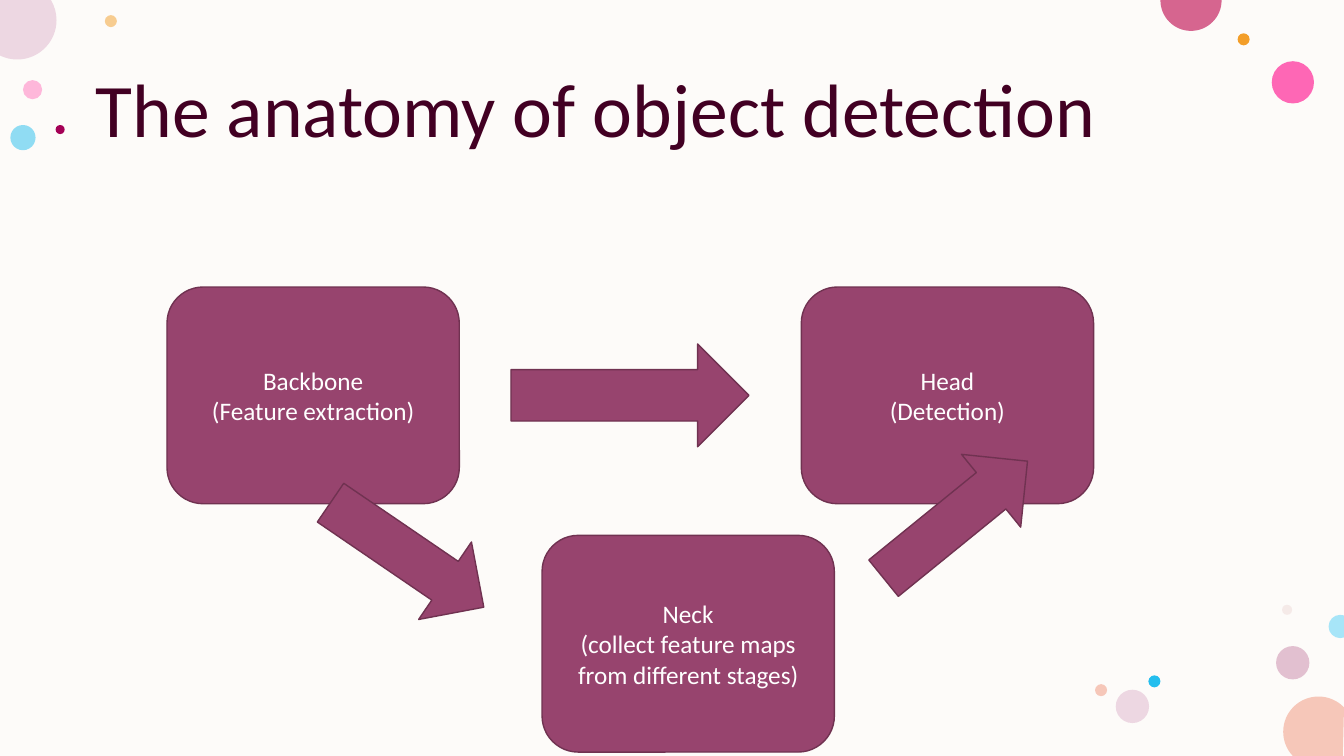
"""Build the slide on the anatomy of object detection."""
import math
from dataclasses import dataclass
from itertools import pairwise

from lxml import etree
from pptx import Presentation
from pptx import util as u
from pptx.dml import color, fill
from pptx.enum import shapes, text
from pptx.oxml import ns
from pptx.shapes import autoshape
from pptx.slide import Slide

WIDTH, HEIGHT = 960, 540
STAGE_WIDTH, STAGE_HEIGHT = 208.8, 154.8


@dataclass(frozen=True)
class Theme:
    font: str = "Calibri"
    title_size: int = 54
    stage_size: int = 18
    background: str = "FDFBF9"
    title: str = "420023"
    block: str = "97446E"
    outline: str = "703251"
    label: str = "FFFFFF"
    sky: str = "24BEEE"
    orange: str = "F39E29"
    peach: str = "F6C7B9"
    lilac: str = "EDD7E2"


@dataclass(frozen=True)
class Dot:
    left: float
    top: float
    diameter: float
    colour: str
    opacity: int = 100

    def rim(self, degrees: float, pull: float = 0) -> tuple[float, float]:
        """Give a rim point, moved along its tangent by pull radii."""
        radius, angle = self.diameter / 2, math.radians(degrees)
        sine, cosine = math.sin(angle), math.cos(angle)
        return (self.left + radius * (1 + cosine - pull * sine),
                self.top + radius * (1 + sine + pull * cosine))


@dataclass(frozen=True)
class Stage:
    left: float
    top: float
    name: str
    role: str


@dataclass(frozen=True)
class Arrow:
    left: float
    top: float
    width: float
    height: float
    rotation: float = 0


THEME = Theme()
DOTS = (
    Dot(16.4, 57.2, 13.7, "FF75BD", 50),
    Dot(74.9, 10.8, 8.6, THEME.orange, 50),
    Dot(911.5, 461.5, 23.8, "C987A8", 50),
    Dot(7.4, 89.3, 18, THEME.sky, 50),
    Dot(908.4, 43.7, 30.2, "FF2F9C", 72),
    Dot(884, 23.8, 8.6, THEME.orange),
    Dot(915.8, 432, 7.2, "E3BEBE", 28),
    Dot(820.3, 482.4, 8.6, THEME.sky),
    Dot(797, 492.7, 23.8, THEME.lilac),
    Dot(782.2, 488.7, 8.6, THEME.peach),
    Dot(916.6, 497.5, 50.4, THEME.peach),
    Dot(-15.8, -13.7, 56.2, THEME.lilac),
    Dot(828.9, -21.6, 43.7, "D6658F"),
    Dot(39.7, 89.3, 6.5, "A40056"),
    Dot(949, 439.2, 16.6, "A7E5F8"),
)
FLOW = (
    Stage(119.3, 205, "Backbone", "(Feature extraction)"),
    Arrow(365, 245.7, 170, 73.4),
    Stage(572.4, 205, "Head", "(Detection)"),
    Arrow(224.6, 362.9, 132.5, 67, 34.3),
    Stage(387.2, 382.4, "Neck", "(collect feature maps from different stages)"),
    Arrow(616.3, 337.7, 132.5, 67, 320.9),
)


def paint(target: fill.FillFormat, colour: str, opacity: int = 100) -> None:
    """Fill with one colour at the given opacity in percent."""
    target.solid()
    target.fore_color.rgb = color.RGBColor.from_string(colour)
    if opacity < 100:
        tone = target.fore_color._xFill.find(ns.qn("a:srgbClr"))
        etree.SubElement(tone, ns.qn("a:alpha"), val=str(opacity * 1000))


def style_text(paragraph, size: int, colour: str) -> None:
    """Set the font of a whole paragraph."""
    paragraph.font.name = THEME.font
    paragraph.font.size = u.Pt(size)
    paragraph.font.color.rgb = color.RGBColor.from_string(colour)


def add_preset(page: Slide, kind: shapes.MSO_SHAPE, left: float, top: float,
               width: float, height: float, colour: str, opacity: int = 100) -> autoshape.Shape:
    """Draw a filled preset shape without outline or shadow."""
    shape = page.shapes.add_shape(kind, *map(u.Pt, (left, top, width, height)))
    shape.shadow.inherit = False
    paint(shape.fill, colour, opacity)
    shape.line.fill.background()
    return shape


def add_cut_dot(page: Slide, dot: Dot, inside: list[bool]) -> None:
    """Draw the part of a dot that lies on the slide, with curved edges."""
    count = len(inside)
    enter = next(i for i in range(count) if inside[i] and not inside[i - 1])
    leave = next(i for i in range(count) if inside[i - 1] and not inside[i])
    start, end = enter / 10, (enter + (leave - enter) % count) / 10
    quarters = [q for q in range(0, 720, 90) if start < q < end]
    angles = [start, *quarters, end]
    x, y = dot.rim((start + end) / 2 + 180)
    corner = (min(max(x, 0), WIDTH), min(max(y, 0), HEIGHT))
    first, *rest = [tuple(map(u.Pt, p)) for p in [*map(dot.rim, angles), corner]]
    builder = page.shapes.build_freeform(*first)
    builder.add_line_segments(rest)
    shape = builder.convert_to_shape()
    shape.shadow.inherit = False
    paint(shape.fill, dot.colour)
    shape.line.fill.background()
    lines = list(shape._element.iter(ns.qn("a:lnTo")))
    for line, (begin, finish) in zip(lines, pairwise(angles)):
        pull = 4 / 3 * math.tan(math.radians(finish - begin) / 4)
        line.tag = ns.qn("a:cubicBezTo")
        for index, (x, y) in enumerate((dot.rim(begin, pull), dot.rim(finish, -pull))):
            handle = etree.Element(ns.qn("a:pt"), x=str(u.Pt(x) - shape.left),
                                   y=str(u.Pt(y) - shape.top))
            line.insert(index, handle)


def add_dot(page: Slide, dot: Dot) -> None:
    """Draw a decorative dot, cut off where it meets the slide edge."""
    rim = [dot.rim(step / 10) for step in range(3600)]
    inside = [0 <= x <= WIDTH and 0 <= y <= HEIGHT for x, y in rim]
    if all(inside):
        add_preset(page, shapes.MSO_SHAPE.OVAL, dot.left, dot.top, dot.diameter,
                   dot.diameter, dot.colour, dot.opacity)
    else:
        add_cut_dot(page, dot, inside)


def add_part(page: Slide, part: Stage | Arrow) -> None:
    """Draw a labelled stage or an arrow of the flow."""
    if isinstance(part, Arrow):
        block = add_preset(page, shapes.MSO_SHAPE.RIGHT_ARROW, part.left, part.top,
                           part.width, part.height, THEME.block)
        block.rotation = part.rotation
    else:
        block = add_preset(page, shapes.MSO_SHAPE.FLOWCHART_ALTERNATE_PROCESS, part.left,
                           part.top, STAGE_WIDTH, STAGE_HEIGHT, THEME.block)
        frame = block.text_frame
        frame.word_wrap = True
        frame.vertical_anchor = text.MSO_ANCHOR.MIDDLE
        frame.text = f"{part.name}\n{part.role}"
        for para in frame.paragraphs:
            para.alignment = text.PP_ALIGN.CENTER
            style_text(para, THEME.stage_size, THEME.label)
    paint(block.line.fill, THEME.outline)
    block.line.width = u.Pt(1)


def set_title(page: Slide, wording: str) -> None:
    """Place and format the slide title above the backdrop."""
    title = page.shapes.title
    title.left, title.top = u.Pt(61.2), u.Pt(28.8)
    title.width, title.height = u.Pt(839.5), u.Pt(104.4)
    frame = title.text_frame
    frame.text = wording
    frame.word_wrap = True
    frame.auto_size = text.MSO_AUTO_SIZE.NONE
    frame.vertical_anchor = text.MSO_ANCHOR.MIDDLE
    para = frame.paragraphs[0]
    para.alignment = text.PP_ALIGN.LEFT
    para.line_spacing = 0.9
    style_text(para, THEME.title_size, THEME.title)
    page.shapes._spTree.append(title._element)


def main() -> None:
    """Assemble and save the deck."""
    deck = Presentation()
    deck.slide_width, deck.slide_height = u.Pt(WIDTH), u.Pt(HEIGHT)
    page = deck.slides.add_slide(deck.slide_layouts.get_by_name("Title Only"))
    add_preset(page, shapes.MSO_SHAPE.RECTANGLE, 0, 0, WIDTH, HEIGHT, THEME.background)
    for dot in DOTS:
        add_dot(page, dot)
    set_title(page, "The anatomy of object detection")
    for part in FLOW:
        add_part(page, part)
    deck.save("out.pptx")


if __name__ == "__main__":
    main()
